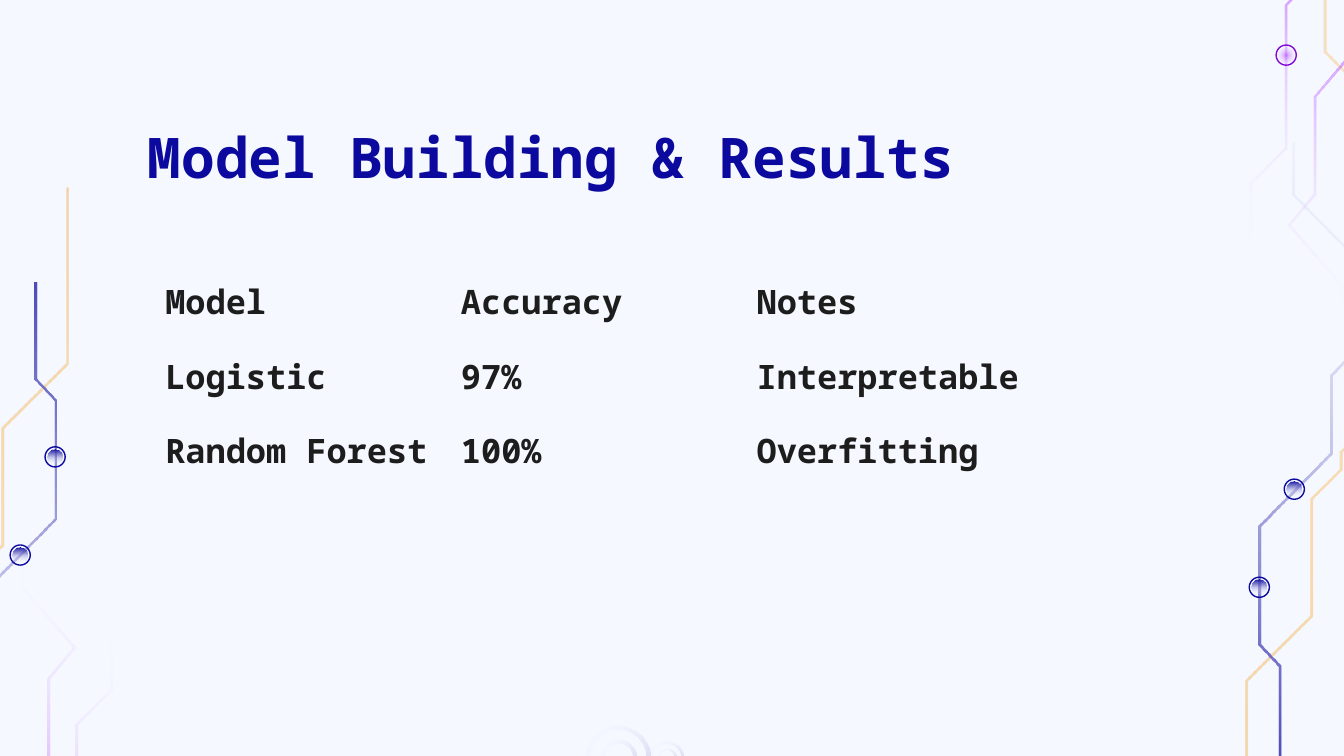
import math
from pptx import Presentation
from pptx.dml.color import RGBColor
from pptx.enum.shapes import MSO_SHAPE
from pptx.enum.text import MSO_ANCHOR, MSO_AUTO_SIZE, PP_ALIGN
from pptx.oxml import parse_xml
from pptx.oxml.ns import nsdecls, qn
from pptx.util import Inches, Pt

OVAL, DONUT = MSO_SHAPE.OVAL, MSO_SHAPE.DONUT
TOP, MIDDLE = MSO_ANCHOR.TOP, MSO_ANCHOR.MIDDLE
LEFT, FIXED = PP_ALIGN.LEFT, MSO_AUTO_SIZE.NONE
NAVY, VIOLET, INK, PAPER = "0C0A9E", "8208D5", "1D1D1D", "F5F8FF"
PLAIN = "{2D5ABB26-0587-4C30-8999-92F81FD0307C}"
FACE = "Noto Sans Mono"
HEAD = {"name": FACE, "size": Pt(30), "bold": True}
CELL = {"name": FACE, "size": Pt(18), "bold": True}

# Gradient stops: position %, colour, opacity %
FADE = (100, "FFFFFF", 0)
GOLD = [(0, "EB9109", 36), (40, "FF9900", 30), (100, "FF9900", 24)]
BLUE = [(0, NAVY, 100), FADE]
LILAC = [(0, "9900FF", 47), FADE]
MIST = [(0, NAVY, 20), FADE]

# Centre lines of the traces, measured from the pivot of their circuit
GOLD_RUN = [(.5, -2.6), (.5, -1.29), (.02, -.81), (.02, .06), (-.2, .28),
            (-.2, .41), (-.32, .53), (-.32, 1.07), (-.56, 1.32), (-.56, 1.67),
            (-.74, 1.84), (-.74, 2.72), (-.08, 3.38), (-.08, 4.15)]
BLUE_RUN = [(.26, -1.9), (.26, -1.18), (.41, -1.02), (.41, -.14), (-.12, .4),
            (-.12, .98), (-.36, 1.23), (-.36, 1.79), (.16, 2.32), (.16, 2.71)]
LILAC_RUNS = [
    [(.13, -1.32), (-.23, -.96), (-.23, .1), (-.49, .36), (-.49, .84)],
    [(.52, -.92), (-.02, -.28), (-.02, .44), (-.21, .67), (.18, 1.12), (.18, 1.36)],
]
NODES = [(.41, -.6), (.15, .13)]
ROWS = [("Model", "Accuracy", "Notes"),
        ("Logistic", "97%", "Interpretable"),
        ("Random Forest", "100%", "Overfitting")]


def color(code):
    return RGBColor.from_string(code)


def style(font, form, code):
    for key, value in form.items():
        setattr(font, key, value)
    font.color.rgb = color(code)


def shade(shape, stops, angle=None):
    """Fill with a gradient: linear at an angle, or round if there is none."""
    shape.shadow.inherit = False
    shape.line.fill.background()
    shape.fill.background()
    marks = "".join(
        f'<a:gs pos="{pos * 1000}"><a:srgbClr val="{code}">'
        f'<a:alpha val="{alpha * 1000}"/></a:srgbClr></a:gs>'
        for pos, code, alpha in stops)
    if angle is None:
        way = ('<a:path path="circle"><a:fillToRect l="50000" t="50000" '
               'r="50000" b="50000"/></a:path>')
    else:
        way = f'<a:lin ang="{angle * 60000}" scaled="0"/>'
    props = shape._element.spPr
    blank = props.find(qn("a:noFill"))
    props.replace(blank, parse_xml(
        f'<a:gradFill {nsdecls("a")} rotWithShape="1"><a:gsLst>{marks}</a:gsLst>'
        f'{way}</a:gradFill>'))


def unit(angle):
    return complex(math.cos(math.radians(angle)), math.sin(math.radians(angle)))


def band(run, half=0.01):
    """Outline of a thin strip with mitred corners around a centre line."""
    pts = [complex(*pt) for pt in run]
    norms = [(b - a) * 1j / abs(b - a) for a, b in zip(pts, pts[1:])]
    sides = []
    for pt, n, m in zip(pts, norms[:1] + norms, norms + norms[-1:]):
        shift = half * (n + m) / (1 + (n * m.conjugate()).real)
        sides.append((pt + shift, pt - shift))
    return [a for a, b in sides] + [b for a, b in reversed(sides)]


def trace(slide, pivot, run, stops, angle, spin, turn):
    """Draw a strip in a frame tilted by spin, turned about the pivot."""
    hub = complex(*pivot)
    pts = [hub + pt * unit(-spin) for pt in band(run)]
    first, *rest = [(Inches(pt.real), Inches(pt.imag)) for pt in pts]
    pen = slide.shapes.build_freeform(*first)
    pen.add_line_segments(rest, close=True)
    shape = pen.convert_to_shape()
    base = complex(Inches(pivot[0]), Inches(pivot[1]))
    mid = complex(shape.left + shape.width / 2, shape.top + shape.height / 2)
    move = (mid - base) * unit(spin + turn) + base - mid
    shape.left += round(move.real)
    shape.top += round(move.imag)
    shape.rotation = spin + turn
    shade(shape, stops, angle)


def disc(slide, kind, x, y, size):
    return slide.shapes.add_shape(
        kind, Inches(x - size / 2), Inches(y - size / 2), Inches(size), Inches(size))


def node(slide, x, y, code, stops, angle=None):
    rim = disc(slide, OVAL, x, y, 0.15)
    rim.shadow.inherit = False
    rim.fill.background()
    rim.line.color.rgb = color(code)
    rim.line.width = Pt(0.75)
    shade(disc(slide, OVAL, x, y, 0.11), stops, angle)


def circuit(slide, pivot, turn):
    trace(slide, pivot, GOLD_RUN, GOLD, 45, 45, turn)
    trace(slide, pivot, BLUE_RUN, BLUE, 90, 45, turn)
    sign = -1 if turn else 1
    for x, y in NODES:
        node(slide, pivot[0] + sign * x, pivot[1] + sign * y, NAVY, BLUE, 90)


def branch(slide, pivot, turn):
    for run in LILAC_RUNS:
        trace(slide, pivot, run, LILAC, 90, 0, turn)


def rings(slide, x, y):
    for dx, size, rim in [(0, .48, .07), (0, .27, .11), (.36, .25, .08), (.36, .14, .12)]:
        ring = disc(slide, DONUT, x + dx, y, size)
        ring.adjustments[0] = rim
        shade(ring, MIST, 225)


def heading(slide, box, text):
    title = slide.shapes.title
    title.left, title.top, title.width, title.height = map(Inches, box)
    frame = title.text_frame
    form = {"word_wrap": True, "auto_size": FIXED, "vertical_anchor": TOP}
    form.update({f"margin_{side}": Inches(0.1)
                 for side in ("left", "top", "right", "bottom")})
    for key, value in form.items():
        setattr(frame, key, value)
    frame.text = text
    para = frame.paragraphs[0]
    para.alignment = LEFT
    style(para.runs[0].font, HEAD, NAVY)


def results(slide, box):
    table = slide.shapes.add_table(len(ROWS), len(ROWS[0]), *map(Inches, box)).table
    table.first_row = table.horz_banding = False
    table._tbl.tblPr.find(qn("a:tableStyleId")).text = PLAIN
    for r, row in enumerate(ROWS):
        for c, text in enumerate(row):
            cell = table.cell(r, c)
            cell.fill.background()
            cell.vertical_anchor = MIDDLE
            cell.text = text
            style(cell.text_frame.paragraphs[0].runs[0].font, CELL, INK)


def main():
    deck = Presentation()
    deck.slide_width = Inches(10)
    deck.slide_height = deck.slide_width * 9 // 16
    slide = deck.slides.add_slide(deck.slide_layouts[5])
    back = slide.background.fill
    back.solid()
    back.fore_color.rgb = color(PAPER)
    circuit(slide, (0, 4), 0)
    branch(slide, (0.34, 5.49), 180)
    circuit(slide, (9.78, 3.77), 180)
    branch(slide, (9.8, 1), 0)
    node(slide, 9.57, 0.41, VIOLET, LILAC)
    rings(slide, 4.6, 5.64)
    heading(slide, (1, 0.81, 8.43, 0.63), "Model Building & Results")
    results(slide, (1.13, 1.97, 6.6, 1.66))
    deck.save("out.pptx")


if __name__ == "__main__":
    main()
